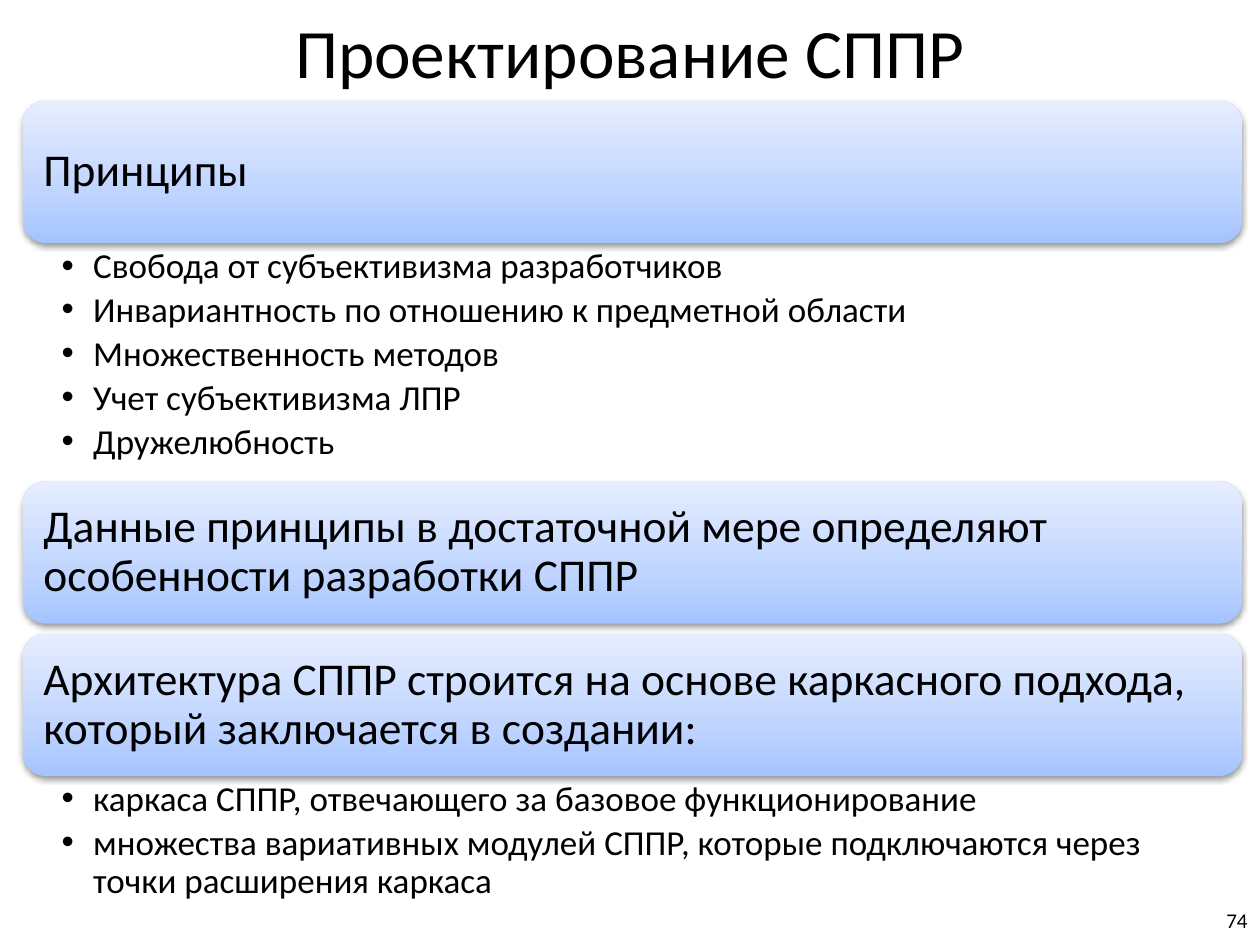
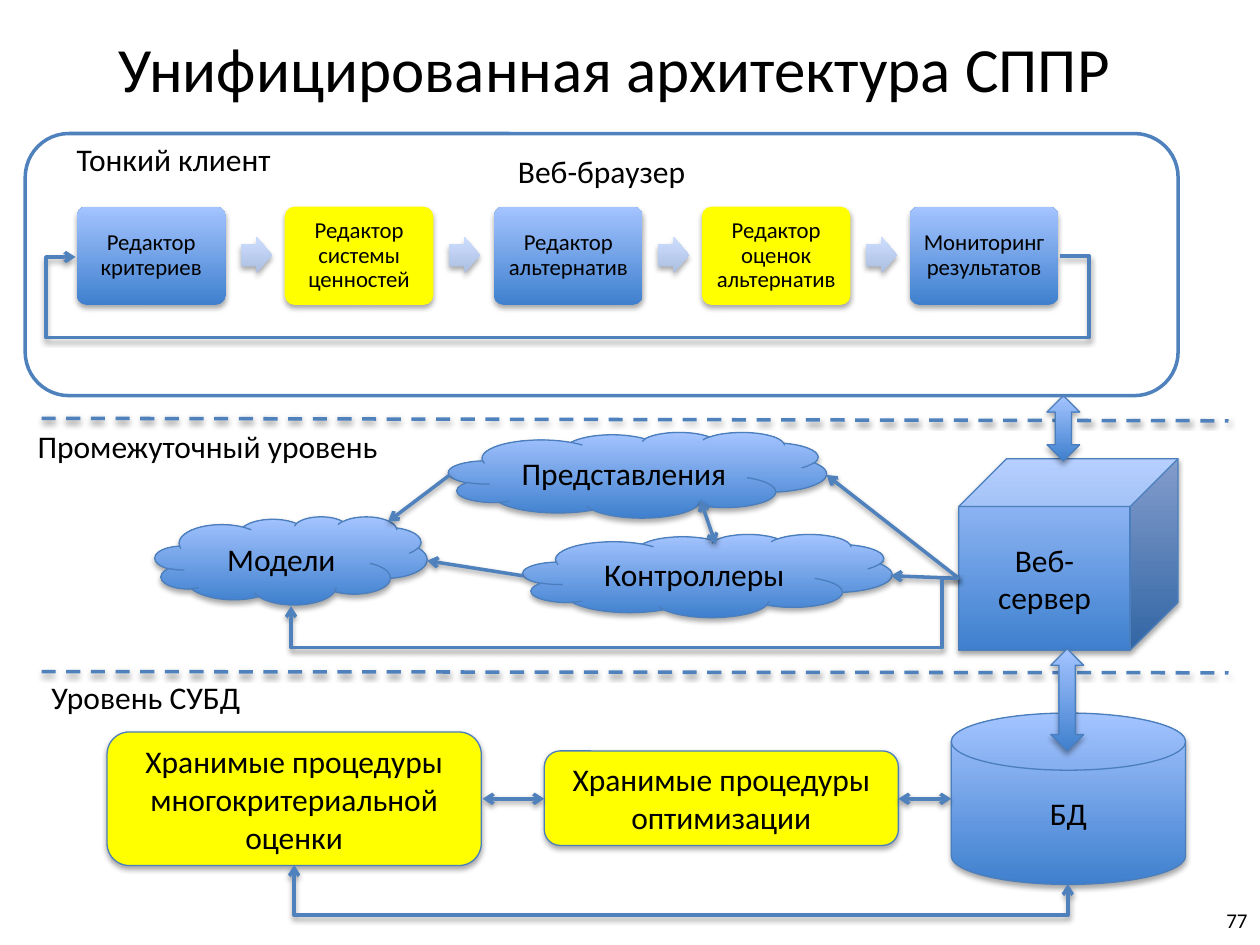
from copy import deepcopy

from lxml.etree import SubElement
from pptx import Presentation
from pptx.dml.color import RGBColor
from pptx.enum.dml import MSO_LINE
from pptx.enum.shapes import MSO_CONNECTOR as CONN, MSO_SHAPE as SHAPE
from pptx.enum.text import MSO_ANCHOR as ANCHOR, PP_ALIGN as ALIGN
from pptx.oxml.ns import qn
from pptx.util import Emu, Pt

PX = 9144  # 100 px to the inch
FONT = "Calibri"
COLORS = {
    "text": "000000",
    "line": "4F81BD",
    "outline": "4B7EBC",
    "yellow": "FFFF00",
}
# Gradients run from bottom to top: (position, colour)
GRADIENTS = {
    "blue": [(0, "3F80CE"), (1, "A4C4FF")],
    "pale": [(0, "A4C4FF"), (0.35, "BFD4FF"), (1, "E6EEFF")],
    "step": [(0, "ADBFE1"), (1, "CCDDFF")],
}
LINE_SHADOW = {"dist": 20000, "alpha": 38000}
SHAPE_SHADOW = {"dist": 23000, "alpha": 35000}


def px(*values):
    return [Emu(v * PX) for v in values]


def rgb(name):
    return RGBColor.from_string(COLORS[name])


def add_xml(parent, tag, **attrs):
    return SubElement(parent, qn(tag), {k: str(v) for k, v in attrs.items()})


def add_shadow(effects, dist, alpha):
    shadow = add_xml(effects, "a:outerShdw", blurRad=40000, dist=dist,
                     dir=5400000, rotWithShape=0)
    color = add_xml(shadow, "a:srgbClr", val=COLORS["text"])
    add_xml(color, "a:alpha", val=alpha)


def write(sp, text, size=18, align=ALIGN.CENTER, anchor=ANCHOR.MIDDLE, wrap=True,
          inset=(10, 5, 10, 5), spacing=None, after=None, bullet=False):
    """Fill a shape with text, one paragraph a line; inset is left, top, right, bottom."""
    tf = sp.text_frame
    tf.word_wrap = wrap
    tf.vertical_anchor = anchor
    tf.margin_left, tf.margin_top, tf.margin_right, tf.margin_bottom = px(*inset)
    for i, line in enumerate(text.split("\n")):
        p = tf.add_paragraph() if i else tf.paragraphs[0]
        p.alignment = align
        if spacing:
            p.line_spacing = spacing
        if after:
            p.space_after = Pt(after)
        if bullet:
            pPr = p._p.get_or_add_pPr()
            pPr.set("marL", str(25 * PX))
            pPr.set("indent", str(-25 * PX))
            add_xml(pPr, "a:buFont", typeface="Arial")
            add_xml(pPr, "a:buChar", char="•")
        r = p.add_run()
        r.text = line
        r.font.name = FONT
        r.font.size = Pt(size)
        r.font.color.rgb = rgb("text")


class Deck:
    def __init__(self):
        self.prs = Presentation()
        self.prs.slide_width, self.prs.slide_height = px(1000, 750)

    def new_slide(self):
        self.slide = self.prs.slides.add_slide(self.prs.slide_layouts[6])
        self.shapes = self.slide.shapes

    def text(self, box, text, **fmt):
        write(self.shapes.add_textbox(*px(*box)), text, **fmt)

    def title(self, box, text, size):
        self.text(box, text, size=size)

    def page_number(self, number):
        self.text((767, 710, 233, 40), str(number), size=12, align=ALIGN.RIGHT)

    def label(self, box, text):
        self.text(box, text, align=ALIGN.LEFT, anchor=ANCHOR.TOP, wrap=False)

    def bullets(self, box, items):
        self.text(box, "\n".join(items), size=20, align=ALIGN.LEFT, anchor=ANCHOR.TOP,
                  inset=(31, 4, 20, 4), spacing=0.9, after=3.5, bullet=True)

    def shape(self, kind, box, text="", fill="blue", line="outline", width=0.75,
              adj=(), shadow=SHAPE_SHADOW, **fmt):
        sp = self.shapes.add_shape(kind, *px(*box))
        for i, value in enumerate(adj):
            sp.adjustments[i] = value
        if fill in GRADIENTS:
            self.gradient(sp, GRADIENTS[fill])
        elif fill:
            sp.fill.solid()
            sp.fill.fore_color.rgb = rgb(fill)
        else:
            sp.fill.background()
        if line:
            sp.line.color.rgb = rgb(line)
            sp.line.width = Pt(width)
        else:
            sp.line.fill.background()
        sp.shadow.inherit = False
        if shadow:
            add_shadow(sp._element.spPr.find(qn("a:effectLst")), **shadow)
        if text:
            write(sp, text, **fmt)

    def gradient(self, sp, stops):
        sp.fill.gradient()
        sp.fill.gradient_angle = 90
        gs_list = sp._element.spPr.find(qn("a:gradFill")).find(qn("a:gsLst"))
        for _ in stops[2:]:
            gs_list.append(deepcopy(gs_list[0]))
        for stop, (position, color) in zip(sp.fill.gradient_stops, stops):
            stop.position = position
            stop.color.rgb = RGBColor.from_string(color)

    def line(self, start, end, head=False, tail=False, dash=False, kind=CONN.STRAIGHT):
        cxn = self.shapes.add_connector(kind, *px(*start, *end))
        cxn.line.color.rgb = rgb("line")
        cxn.line.width = Pt(2)
        if dash:
            cxn.line.dash_style = MSO_LINE.DASH
        ln = cxn.line._get_or_add_ln()
        for tag, wanted in (("a:headEnd", head), ("a:tailEnd", tail)):
            if wanted:
                add_xml(ln, tag, type="arrow")
        add_shadow(add_xml(cxn._element.spPr, "a:effectLst"), **LINE_SHADOW)
        return cxn

    def bent(self, box, adj, head=False, **xfrm):
        """Elbow arrow in an unturned box; adj places its bends, xfrm turns or flips it."""
        x, y, w, h = box
        cxn = self.line((x, y), (x + w, y + h), head, True, kind=CONN.ELBOW)
        spPr = cxn._element.spPr
        for key, value in xfrm.items():
            spPr.find(qn("a:xfrm")).set(key, str(value))
        geom = spPr.find(qn("a:prstGeom"))
        geom.set("prst", f"bentConnector{len(adj) + 2}")
        guides = geom.find(qn("a:avLst"))
        for i, value in enumerate(adj, 1):
            add_xml(guides, "a:gd", name=f"adj{i}", fmla=f"val {round(value * 100000)}")


def principles_slide(deck):
    deck.new_slide()
    deck.title((50, 6, 900, 69), "Проектирование СППР", 39.6)
    headings = [
        (80, "Принципы"),
        (382, "Данные принципы в достаточной мере определяют особенности разработки СППР"),
        (503, "Архитектура СППР строится на основе каркасного подхода, "
              "который заключается в создании:"),
    ]
    for top, heading in headings:
        deck.shape(SHAPE.ROUNDED_RECTANGLE, (18, top, 968, 113), heading, fill="pale",
                   line=None, shadow=LINE_SHADOW, size=26, align=ALIGN.LEFT,
                   inset=(11,) * 4, spacing=0.9)
    deck.bullets((18, 193, 968, 188), [
        "Свобода от субъективизма разработчиков",
        "Инвариантность по отношению к предметной области",
        "Множественность методов",
        "Учет субъективизма ЛПР",
        "Дружелюбность",
    ])
    deck.bullets((18, 616, 968, 106), [
        "каркаса СППР, отвечающего за базовое функционирование",
        "множества вариативных модулей СППР, которые подключаются через "
        "точки расширения каркаса",
    ])
    deck.page_number(74)


def database_level(deck):
    deck.line((33, 533), (975, 534), dash=True)
    deck.shape(SHAPE.FLOWCHART_MAGNETIC_DISK, (755, 566, 186, 136), "БД")
    for box, text in [
        ((85, 581, 297, 106), "Хранимые процедуры многокритериальной оценки"),
        ((432, 596, 281, 75), "Хранимые процедуры оптимизации"),
    ]:
        deck.shape(SHAPE.ROUNDED_RECTANGLE, box, text, fill="yellow")
    deck.bent((533, 387, 15, 614), [2.66], head=True, rot=16200000, flipH=1)
    for left, right in [(713, 755), (383, 432)]:
        deck.line((left, 634), (right, 634), head=True, tail=True)
    deck.label((31, 533, 175, 40), "Уровень СУБД")


def client_level(deck):
    steps = ["Редактор критериев", "Редактор системы ценностей", "Редактор альтернатив",
             "Редактор оценок альтернатив", "Мониторинг результатов"]
    for i, step in enumerate(steps):
        left = round(61 + 165.3 * i)
        deck.shape(SHAPE.ROUNDED_RECTANGLE, (left, 164, 118, 78), step,
                   fill="yellow" if i % 2 else "blue", line=None, adj=[0.1],
                   size=13, inset=(5,) * 4, spacing=0.9)
        if i < len(steps) - 1:
            deck.shape(SHAPE.RIGHT_ARROW, (left + 130, 188, 25, 29), fill="step",
                       line=None, adj=[0.6, 0.5])
    deck.bent((60, 203, 781, 1), [-0.03, 66, 1.03], flipH=1)
    deck.label((51, 106, 180, 40), "Тонкий клиент")
    deck.shape(SHAPE.ROUNDED_RECTANGLE, (20, 106, 915, 208), "Веб-браузер", fill=None,
               line="line", width=2, shadow=None, anchor=ANCHOR.TOP)


def middle_level(deck):
    deck.line((33, 332), (975, 334), dash=True)
    deck.shape(SHAPE.CUBE, (761, 364, 174, 152), "Веб-сервер")
    for box in [(834, 515, 26, 81), (831, 314, 26, 52)]:
        deck.shape(SHAPE.UP_DOWN_ARROW, box)
    for box, text in [
        ((123, 410, 216, 70), "Модели"),
        ((415, 424, 293, 66), "Контроллеры"),
        ((356, 343, 300, 68), "Представления"),
    ]:
        deck.shape(SHAPE.CLOUD, box, text)
    server = (761, 459)
    for start, end in [
        ((357, 377), (308, 414)),
        ((415, 457), (339, 445)),
        (server, (656, 377)),
        (server, (707, 457)),
    ]:
        deck.line(start, end, tail=True)
    deck.line((556, 397), (568, 432), head=True, tail=True)
    deck.bent((231, 459, 530, 22), [0.025, 2.5], rot=10800000, flipV=1)
    deck.label((20, 334, 300, 40), "Промежуточный уровень")


def architecture_slide(deck):
    deck.new_slide()
    deck.title((0, 12, 975, 82), "Унифицированная архитектура СППР", 36)
    database_level(deck)
    middle_level(deck)
    client_level(deck)
    deck.page_number(77)


def main():
    deck = Deck()
    principles_slide(deck)
    architecture_slide(deck)
    deck.prs.save("out.pptx")


if __name__ == "__main__":
    main()
